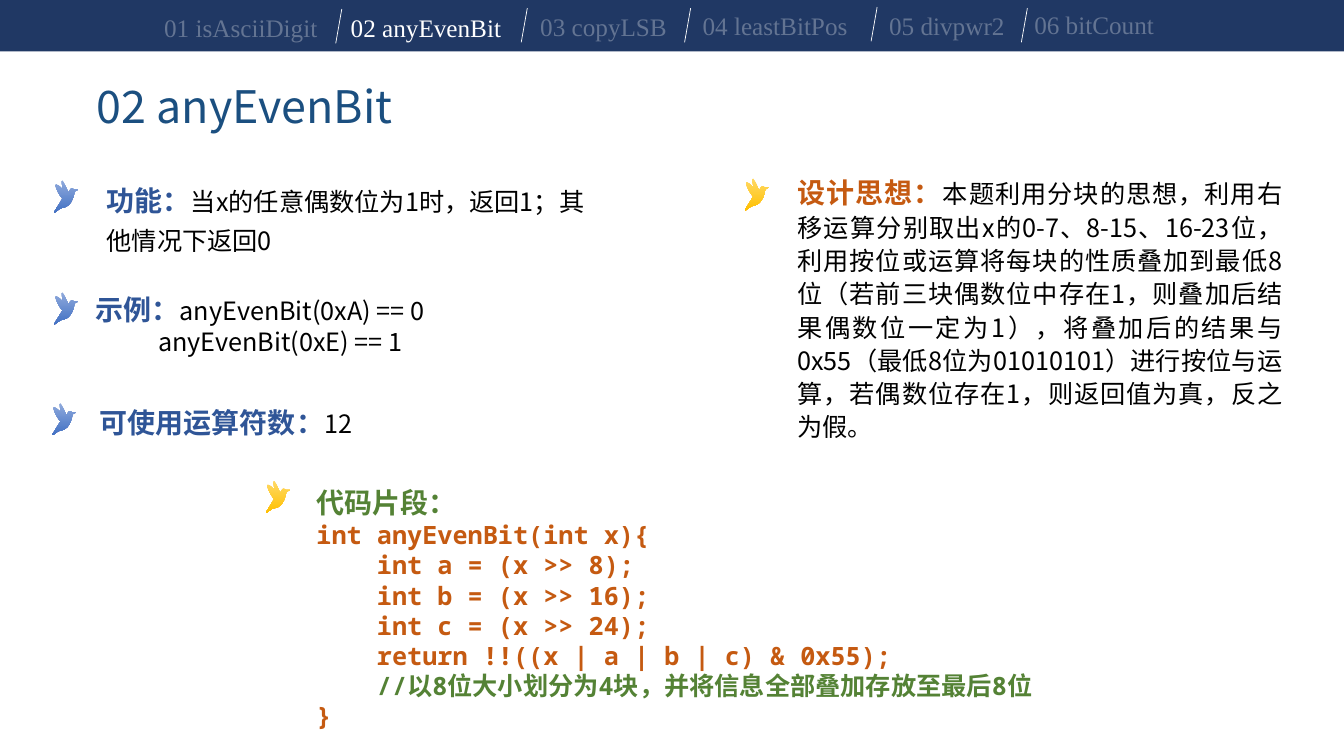
import pptx
import pptx.util
import pptx.dml.color
import pptx.enum.shapes
import pptx.enum.text
import pptx.oxml.ns
from lxml import etree
from pptx.util import Inches

SANS, MONO, SERIF = "Noto Sans CJK SC", "Noto Sans Mono", "Times New Roman"
BLACK, WHITE, NAVY, TITLE_BLUE = "000000", "FFFFFF", "203864", "1B4F80"
BLUE, ORANGE, GREEN = "2F5597", "C55A11", "548235"
BLUE_BIRD = [("8FAADC", 0), ("4472C4", 0.98)]
GOLD_BIRD = [("FFD966", 0), ("FFC000", 1)]

TITLE = "02 anyEvenBit"
# text, left, top, width
NAVIGATION = [
    ("01 isAsciiDigit", 1.53, 0.07, 1.74),
    ("02 anyEvenBit", 3.38, 0.07, 1.71),
    ("03 copyLSB", 5.26, 0.06, 1.47),
    ("04 leastBitPos", 6.87, 0.05, 1.65),
    ("05 divpwr2", 8.72, 0.05, 1.36),
    ("06 bitCount", 10.16, 0.04, 1.4),
]
# right end and top of each slash
SLASHES = [(3.39, 0.09), (5.23, 0.08), (6.85, 0.08), (8.7, 0.07), (10.19, 0.08)]


def heading(text, color):
    return (text, 20, SANS, color, True)


def body(text):
    return (text, 18, SANS, BLACK, False)


def code(text, color=ORANGE):
    return (text, 18, MONO, color, True)


# box, line spacing, justified, paragraphs as (indent, runs)
SECTIONS = [
    ((0.96, 1.69, 5.01, 1.2), 1.25, False, [
        (0, [heading("功能：", BLUE), body("当x的任意偶数位为1时，返回1；其他情况下返回0")])]),
    ((0.85, 2.85, 5.01, 1.04), 1, False, [
        (0, [heading("示例：", BLUE), body("anyEvenBit(0xA) == 0")]),
        (0.62, [body("anyEvenBit(0xE) == 1")])]),
    ((0.89, 3.97, 5.01, 0.44), 1, False, [
        (0, [heading("可使用运算符数：", BLUE), body("12")])]),
    ((7.81, 1.66, 5.01, 3.11), 1.1, True, [
        (0, [heading("设计思想：", ORANGE), body(
            "本题利用分块的思想，利用右移运算分别取出x的0-7、8-15、16-23位，"
            "利用按位或运算将每块的性质叠加到最低8位（若前三块偶数位中存在1，"
            "则叠加后结果偶数位一定为1），将叠加后的结果与0x55（最低8位为01010101）"
            "进行按位与运算，若偶数位存在1，则返回值为真，反之为假。")])]),
    ((3.04, 4.77, 9.77, 2.56), 1, False, [
        (0, [heading("代码片段：", GREEN)]),
        (0, [code("int anyEvenBit(int x){")]),
        (0.6, [code("int a = (x >> 8);")]),
        (0.6, [code("int b = (x >> 16);")]),
        (0.6, [code("int c = (x >> 24);")]),
        (0.6, [code("return !!((x | a | b | c) & 0x55);")]),
        (0.6, [code("//以8位大小划分为4块，并将信息全部叠加存放至最后8位", GREEN)]),
        (0, [code("}")])]),
]
BIRDS = [(7.39, 1.77, GOLD_BIRD), (0.54, 1.79, BLUE_BIRD), (0.54, 2.9, BLUE_BIRD),
         (0.52, 4, BLUE_BIRD), (2.64, 4.77, GOLD_BIRD)]
# Bird outline in hundredths of an inch: one point is a line, three are a Bezier curve
BIRD_OUTLINE = [
    [(20, 9)], [(19, 9), (19, 8), (17, 8)], [(16, 8), (15, 10), (14, 12)],
    [(12, 8), (10, 3), (8, 0)], [(7, 1)], [(7, 3), (8, 5), (8, 8)],
    [(10, 9), (11, 12), (12, 14)], [(12, 15)], [(10, 10), (5, 5), (2, 4)],
    [(2, 4), (1, 4), (1, 5)], [(2, 9), (5, 15), (8, 18)], [(0, 31)], [(0, 32)],
    [(3, 30), (6, 27), (9, 27)], [(15, 26), (19, 19), (20, 11)], [(24, 9)],
]
BIRD_START = (24, 9)
CURVE_STEPS = 6


def rgb(color):
    return pptx.dml.color.RGBColor.from_string(color)


def child(parent, tag, **attributes):
    return etree.SubElement(parent, pptx.oxml.ns.qn(tag), attributes)


def add_run(paragraph, text, size, family, color, bold=False, opacity=None):
    run = paragraph.add_run()
    run.text = text
    settings = {"size": pptx.util.Pt(size), "name": family, "bold": bold}
    for attribute, value in settings.items():
        setattr(run.font, attribute, value)
    run.font.color.rgb = rgb(color)
    properties = run.font._element
    child(properties, "a:ea", typeface=SERIF if family == SERIF else SANS)
    if opacity:
        solid = properties.find(pptx.oxml.ns.qn("a:solidFill"))
        child(solid[0], "a:alpha", val=str(opacity * 1000))


def add_text_box(box, wrap):
    frame = slide.shapes.add_textbox(*map(Inches, box)).text_frame
    frame.word_wrap = wrap
    return frame


def bird_points():
    """Return the outline as points in EMU, with curves sampled."""
    points, here = [], BIRD_START
    for segment in BIRD_OUTLINE:
        if len(segment) == 1:
            points.append(segment[0])
        else:
            for step in range(1, CURVE_STEPS + 1):
                t = step / CURVE_STEPS
                weights = ((1 - t) ** 3, 3 * t * (1 - t) ** 2, 3 * t * t * (1 - t), t ** 3)
                corners = [here, *segment]
                points.append(tuple(sum(w * c[axis] for w, c in zip(weights, corners))
                                    for axis in (0, 1)))
        here = segment[-1]
    return [(Inches(x / 100), Inches(y / 100)) for x, y in points]


def add_bird(left, top, colors):
    builder = slide.shapes.build_freeform(*(Inches(n / 100) for n in BIRD_START))
    builder.add_line_segments(bird_points(), close=True)
    bird = builder.convert_to_shape(Inches(left), Inches(top))
    bird.shadow.inherit = False
    bird.line.fill.background()
    bird.fill.gradient()
    bird.fill.gradient_angle = 270
    for stop, (color, position) in zip(bird.fill.gradient_stops, colors):
        stop.color.rgb = rgb(color)
        stop.position = position


deck = pptx.Presentation()
deck.slide_width, deck.slide_height = Inches(13.33), Inches(7.5)
slide = deck.slides.add_slide(deck.slide_layouts[5])

banner = slide.shapes.add_shape(pptx.enum.shapes.MSO_SHAPE.RECTANGLE,
                                *map(Inches, (0, -0.03, 13.33, 0.54)))
banner.shadow.inherit = False
banner.fill.solid()
banner.fill.fore_color.rgb = rgb(NAVY)
banner.line.fill.background()

for label, left, top, width in NAVIGATION:
    tab = add_text_box((left, top, width, 0.4), False)
    add_run(tab.paragraphs[0], label, 18, SERIF, WHITE,
            opacity=None if label == TITLE else 30)

for right, top in SLASHES:
    slash = slide.shapes.add_connector(
        pptx.enum.shapes.MSO_CONNECTOR.STRAIGHT,
        *map(Inches, (right, top, right - 0.06, top + 0.34)))
    slash.line.color.rgb = rgb(WHITE)
    slash.line.width = pptx.util.Pt(0.5)
    child(slash._element.spPr, "a:effectLst")

for bird in BIRDS:
    add_bird(*bird)

for box, spacing, justified, paragraphs in SECTIONS:
    section = add_text_box(box, True)
    for index, (indent, runs) in enumerate(paragraphs):
        paragraph = section.add_paragraph() if index else section.paragraphs[0]
        paragraph.line_spacing = spacing
        if justified:
            paragraph.alignment = pptx.enum.text.PP_ALIGN.JUSTIFY
        if indent:
            paragraph._p.get_or_add_pPr().set("marL", str(Inches(indent)))
        for run in runs:
            add_run(paragraph, *run)

title = slide.shapes.title
for side, length in {"left": 0.86, "top": 0.73, "width": 3.2, "height": 0.64}.items():
    setattr(title, side, Inches(length))
title_settings = {"word_wrap": False, "auto_size": pptx.enum.text.MSO_AUTO_SIZE.NONE,
                  "vertical_anchor": pptx.enum.text.MSO_ANCHOR.MIDDLE}
for attribute, value in title_settings.items():
    setattr(title.text_frame, attribute, value)
heading_line = title.text_frame.paragraphs[0]
heading_line.alignment = pptx.enum.text.PP_ALIGN.LEFT
add_run(heading_line, TITLE, 32, SANS, TITLE_BLUE)

deck.save("out.pptx")
